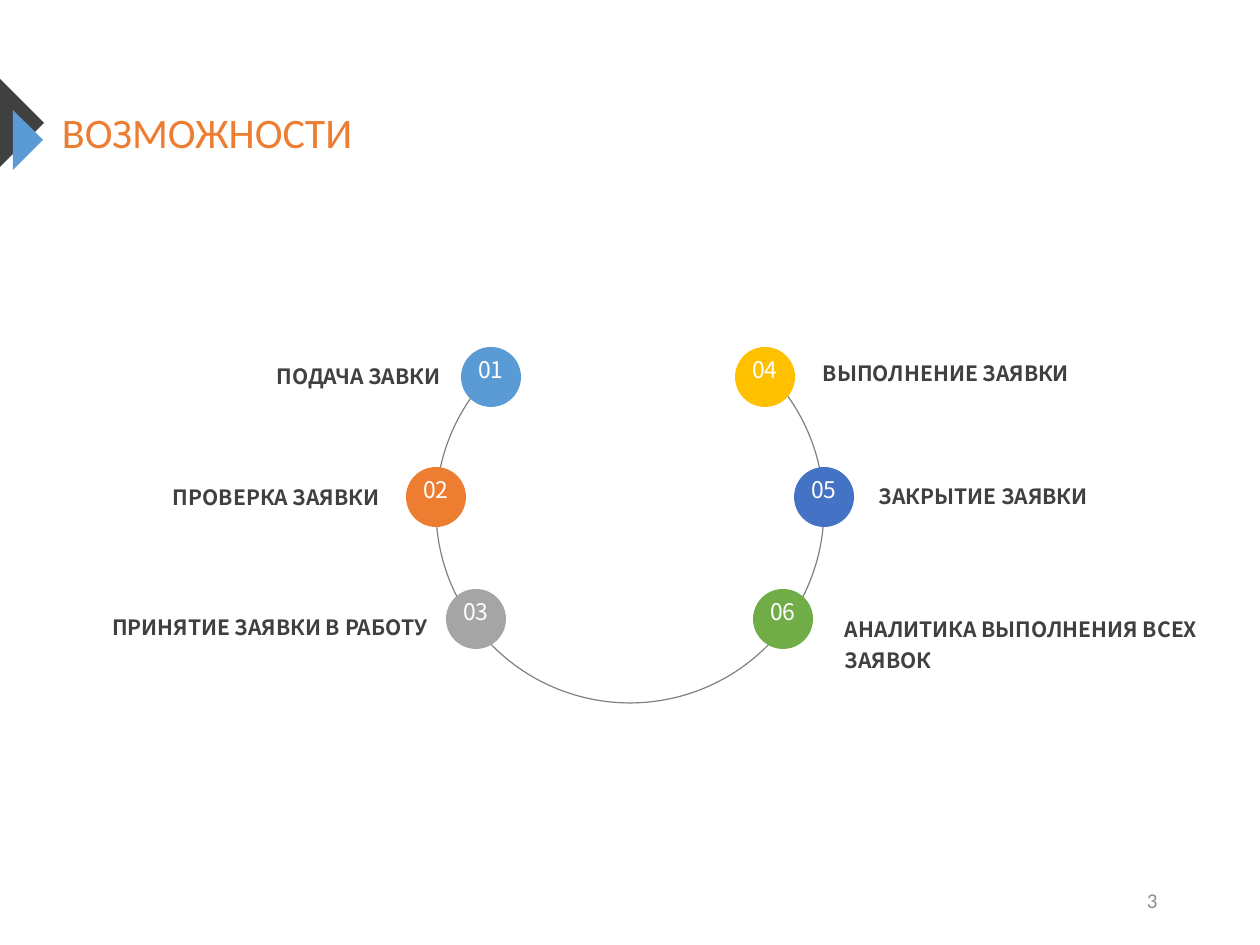
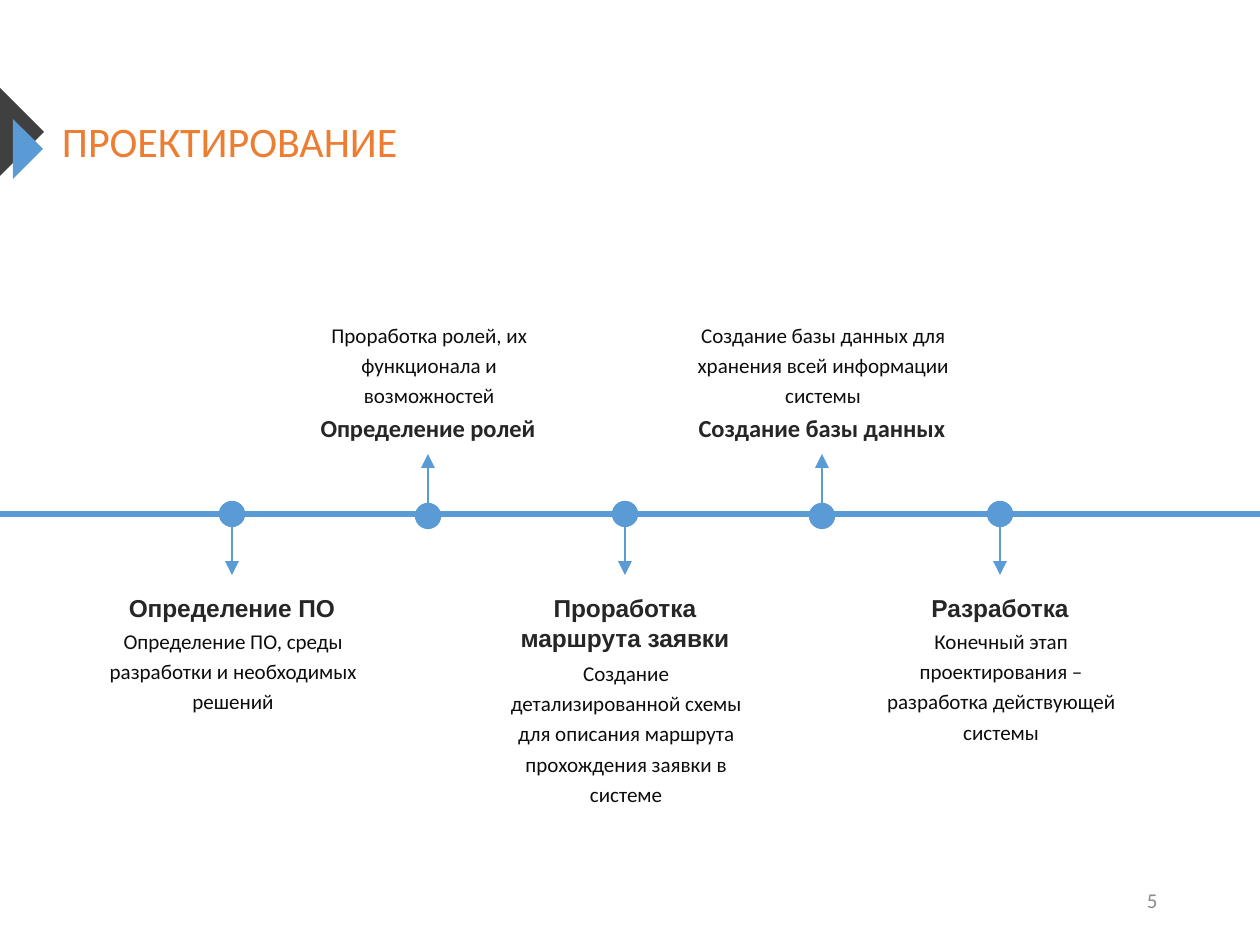
from lxml import etree
from pptx import Presentation
from pptx import util as u
from pptx.dml import color
from pptx.enum import shapes, text
from pptx.oxml import ns

EMU_PER_PX = 914400 / 168
WIDTH, HEIGHT = 1260, 945
BLUE, ORANGE, DARK, WHITE = "5B9BD5", "ED7D31", "404040", "FFFFFF"
LEFT, CENTER, RIGHT = text.PP_ALIGN.LEFT, text.PP_ALIGN.CENTER, text.PP_ALIGN.RIGHT
TOP, MIDDLE = text.MSO_ANCHOR.TOP, text.MSO_ANCHOR.MIDDLE


def px(length):
    return u.Emu(round(length * EMU_PER_PX))


def rgb(value):
    return color.RGBColor.from_string(value)


def assign(target, values):
    for name, value in values.items():
        setattr(target, name, value)


class Deck:
    TITLE = {"size": 18, "ink": ORANGE}
    NUMBER = {"size": 9, "ink": "8C8C8C", "align": RIGHT, "anchor": MIDDLE}
    BADGE = {"size": 9.8, "ink": WHITE, "font": "Noto Sans CJK SC", "align": CENTER, "inset": False}
    LABEL = {"size": 9, "ink": DARK, "font": "Noto Sans CJK SC", "bold": True, "inset": False,
             "spacing": {"line_spacing": 1.2, "space_before": u.Pt(2.2)}}
    HEADING = {"size": 10.5, "ink": "262626", "bold": True, "align": CENTER}
    DETAIL = {"size": 9, "ink": "0D0D0D", "align": CENTER, "spacing": {"line_spacing": 1.2}}

    def __init__(self):
        self.presentation = Presentation()
        assign(self.presentation, {"slide_width": px(WIDTH), "slide_height": px(HEIGHT)})
        self.slide = None

    def new_slide(self, title, number, top):
        self.slide = self.presentation.slides.add_slide(self.presentation.slide_layouts[5])
        self.triangle(0, top, 44, DARK)
        self.triangle(13, top + 31, 30, BLUE)
        heading = self.slide.shapes.title
        assign(heading, {"left": px(62), "top": px(top + 27), "width": px(336), "height": px(50)})
        self.set_text(heading, title, inset=False, **self.TITLE)
        assign(heading.text_frame, {"word_wrap": False,
                                    "auto_size": text.MSO_AUTO_SIZE.SHAPE_TO_FIT_TEXT})
        self.textbox((890, 875, 284, 50), number, **self.NUMBER)

    def set_text(self, shape, content, size, ink, font="Calibri", bold=False,
                 align=LEFT, anchor=TOP, inset=True, spacing=None):
        frame = shape.text_frame
        assign(frame, {"word_wrap": True, "vertical_anchor": anchor})
        if not inset:
            assign(frame, dict.fromkeys(
                ("margin_left", "margin_top", "margin_right", "margin_bottom"), 0))
        paragraph = frame.paragraphs[0]
        assign(paragraph, {"alignment": align, **(spacing or {})})
        run = paragraph.add_run()
        run.text = content
        assign(run.font, {"name": font, "size": u.Pt(size), "bold": bold})
        run.font.color.rgb = rgb(ink)

    def textbox(self, box, content, **style):
        self.set_text(self.slide.shapes.add_textbox(*map(px, box)), content, **style)

    def finish(self, shape, fill=None, line=None, weight=1):
        shape.shadow.inherit = False
        if fill:
            shape.fill.solid()
            shape.fill.fore_color.rgb = rgb(fill)
        else:
            shape.fill.background()
        if line:
            shape.line.color.rgb = rgb(line)
            shape.line.width = u.Pt(weight)
        else:
            shape.line.fill.background()
        return shape

    def triangle(self, left, top, reach, fill):
        builder = self.slide.shapes.build_freeform(left, top, scale=EMU_PER_PX)
        builder.add_line_segments([(left + reach, top + reach), (left, top + 2 * reach)])
        self.finish(builder.convert_to_shape(), fill)

    def circle(self, left, top, size, fill, line=None):
        shape = self.slide.shapes.add_shape(
            shapes.MSO_SHAPE.OVAL, px(left), px(top), px(size), px(size))
        return self.finish(shape, fill, line)

    def arc(self, left, top, size, start, end, line):
        shape = self.slide.shapes.add_shape(
            shapes.MSO_SHAPE.ARC, px(left), px(top), px(size), px(size))
        for index, degrees in enumerate((start, end)):
            shape.adjustments[index] = degrees * 0.6
        self.finish(shape, line=line, weight=0.5)

    def line(self, start, end, weight, arrow=False):
        connector = self.slide.shapes.add_connector(
            shapes.MSO_CONNECTOR.STRAIGHT, *map(px, start + end))
        connector.line.color.rgb = rgb(BLUE)
        connector.line.width = u.Pt(weight)
        properties = connector._element.spPr
        if arrow:
            etree.SubElement(properties.get_or_add_ln(), ns.qn("a:tailEnd"), type="triangle")
        etree.SubElement(properties, ns.qn("a:effectLst"))


def build_features(deck):
    deck.new_slide("ВОЗМОЖНОСТИ", "3", 79)
    deck.arc(436, 315, 388, 310, 230, "808080")
    badge_tops = (347, 467, 589)
    features = [
        (461, BLUE, (109, 358, 331, 29), RIGHT, "ПОДАЧА ЗАВКИ"),
        (406, ORANGE, (48, 480, 331, 29), RIGHT, "ПРОВЕРКА ЗАЯВКИ"),
        (446, "A5A5A5", (96, 610, 331, 29), RIGHT, "ПРИНЯТИЕ ЗАЯВКИ В РАБОТУ"),
        (735, "FFC000", (823, 356, 318, 29), LEFT, "ВЫПОЛНЕНИЕ ЗАЯВКИ"),
        (794, "4472C4", (879, 479, 318, 29), LEFT, "ЗАКРЫТИЕ ЗАЯВКИ"),
        (753, "70AD47", (845, 612, 388, 59), LEFT, "АНАЛИТИКА ВЫПОЛНЕНИЯ ВСЕХ ЗАЯВОК"),
    ]
    for index, (left, fill, box, align, label) in enumerate(features):
        badge = deck.circle(left, badge_tops[index % 3], 60, fill)
        deck.set_text(badge, f"{index + 1:02}", **deck.BADGE)
        deck.textbox(box, label, align=align, **deck.LABEL)


def build_timeline(deck):
    deck.new_slide("ПРОЕКТИРОВАНИЕ", "5", 88)
    deck.line((0, 514), (WIDTH, 514), 2.25)
    up = {"dot": 504, "arrow": (504, 454), "heading": 405, "detail": 309, "font": "Calibri"}
    down = {"dot": 502, "arrow": (526, 575), "heading": 585, "detail": 615, "font": "Arial"}
    stages = [
        (232, down, 0, "Определение ПО", "Определение ПО, среды разработки и необходимых решений"),
        (428, up, 0, "Определение ролей", "Проработка ролей, их функционала и возможностей"),
        (625, down, 32, "Проработка маршрута заявки",
         "Создание детализированной схемы для описания маршрута прохождения заявки в системе"),
        (822, up, 0, "Создание базы данных",
         "Создание базы данных для хранения всей информации системы"),
        (1000, down, 0, "Разработка",
         "Конечный этап проектирования – разработка действующей системы"),
    ]
    for center, side, extra, heading, detail in stages:
        start, end = side["arrow"]
        deck.circle(center - 12, side["dot"], 24, BLUE, BLUE)
        deck.line((center, start), (center, end), 0.5, arrow=True)
        deck.textbox((center - 145, side["detail"] + extra, 292, 100), detail, **deck.DETAIL)
        deck.textbox((center - 147, side["heading"], 294, 47 + extra), heading,
                     font=side["font"], **deck.HEADING)


def main():
    deck = Deck()
    build_features(deck)
    build_timeline(deck)
    deck.presentation.save("out.pptx")


if __name__ == "__main__":
    main()
